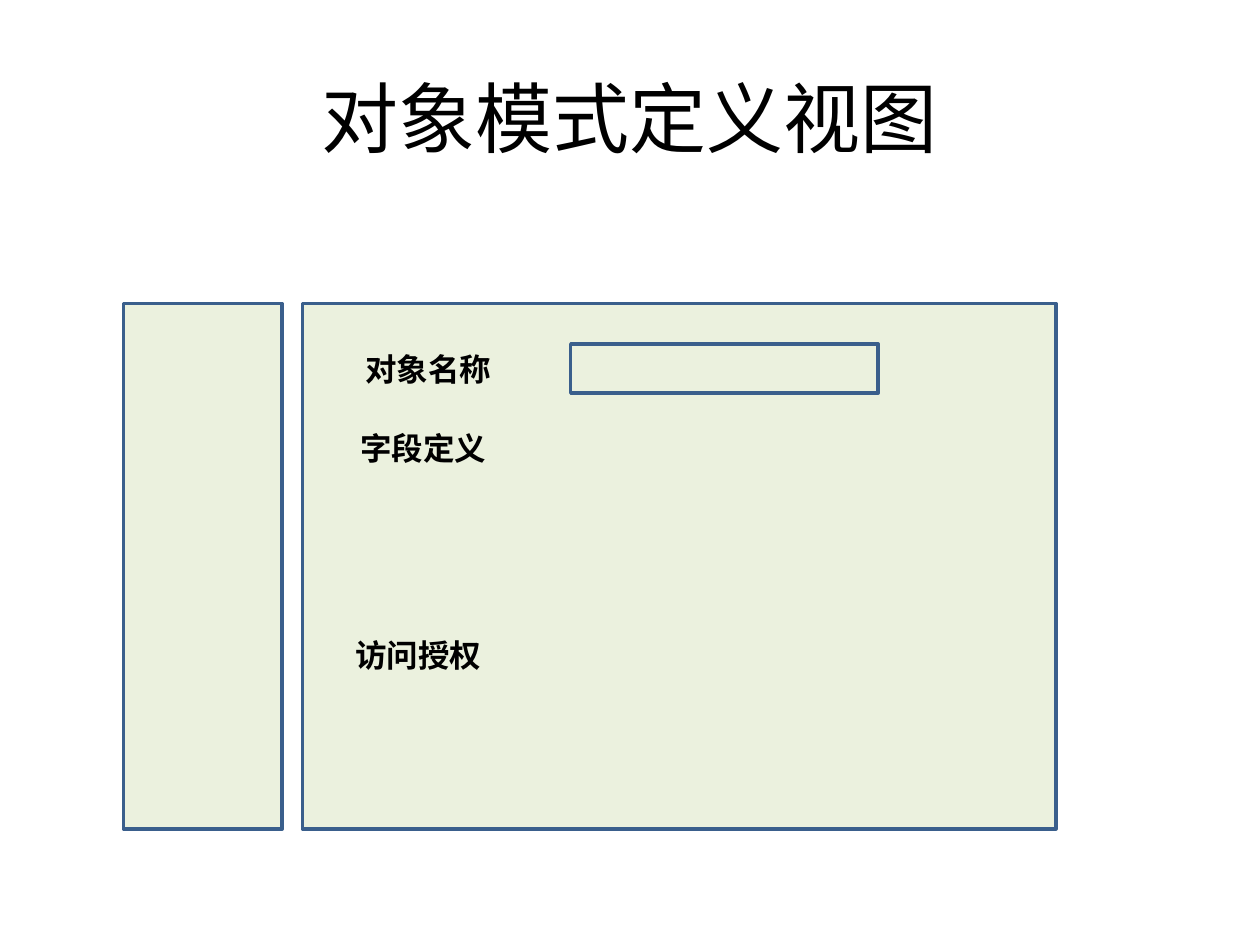
from pptx import Presentation
from pptx.dml.color import RGBColor
from pptx.enum.shapes import MSO_SHAPE
from pptx.enum.text import MSO_ANCHOR, MSO_AUTO_SIZE, PP_ALIGN
from pptx.util import Inches, Pt

COLORS = {"text": "000000", "panel": "EBF1DE", "border": "3A5F8C"}
FONT = "Calibri"
TITLE = "对象模式定义视图"
PANEL_TOP, PANEL_HEIGHT = 2.41, 4.17
BOXES = [
    (0.98, PANEL_TOP, 1.26, PANEL_HEIGHT, "panel"),
    (2.4, PANEL_TOP, 5.98, PANEL_HEIGHT, "panel"),
    (4.53, 2.73, 2.44, 0.39, None),
]
LABELS = [
    ("对象名称", 2.8, 2.73),
    ("字段定义", 2.76, 3.36),
    ("访问授权", 2.72, 5),
]
LABEL_SIZE = (1.21, 0.4)


def color(name):
    return RGBColor.from_string(COLORS[name])


def style_text(paragraph, size, bold=False):
    font = paragraph.font
    font.name = FONT
    font.size = Pt(size)
    font.bold = bold
    font.color.rgb = color("text")


def add_title(slide):
    title = slide.shapes.title
    title.left, title.top, title.width, title.height = map(Inches, (0.5, 0.3, 9, 1.25))
    title.text_frame.text = TITLE
    title.text_frame.vertical_anchor = MSO_ANCHOR.MIDDLE
    paragraph = title.text_frame.paragraphs[0]
    paragraph.alignment = PP_ALIGN.CENTER
    style_text(paragraph, 44)


def add_box(slide, left, top, width, height, fill):
    box = slide.shapes.add_shape(
        MSO_SHAPE.RECTANGLE, *map(Inches, (left, top, width, height))
    )
    box.shadow.inherit = False
    if fill:
        box.fill.solid()
        box.fill.fore_color.rgb = color(fill)
    else:
        box.fill.background()
    box.line.color.rgb = color("border")
    box.line.width = Pt(2)


def add_label(slide, text, left, top):
    label = slide.shapes.add_textbox(*map(Inches, (left, top, *LABEL_SIZE)))
    frame = label.text_frame
    frame.word_wrap = False
    frame.auto_size = MSO_AUTO_SIZE.SHAPE_TO_FIT_TEXT
    frame.text = text
    style_text(frame.paragraphs[0], 18, bold=True)


def main():
    presentation = Presentation()
    presentation.slide_width = Inches(10)
    presentation.slide_height = Inches(7.5)
    slide = presentation.slides.add_slide(presentation.slide_layouts[5])
    add_title(slide)
    for box in BOXES:
        add_box(slide, *box)
    for label in LABELS:
        add_label(slide, *label)
    presentation.save("out.pptx")


if __name__ == "__main__":
    main()
